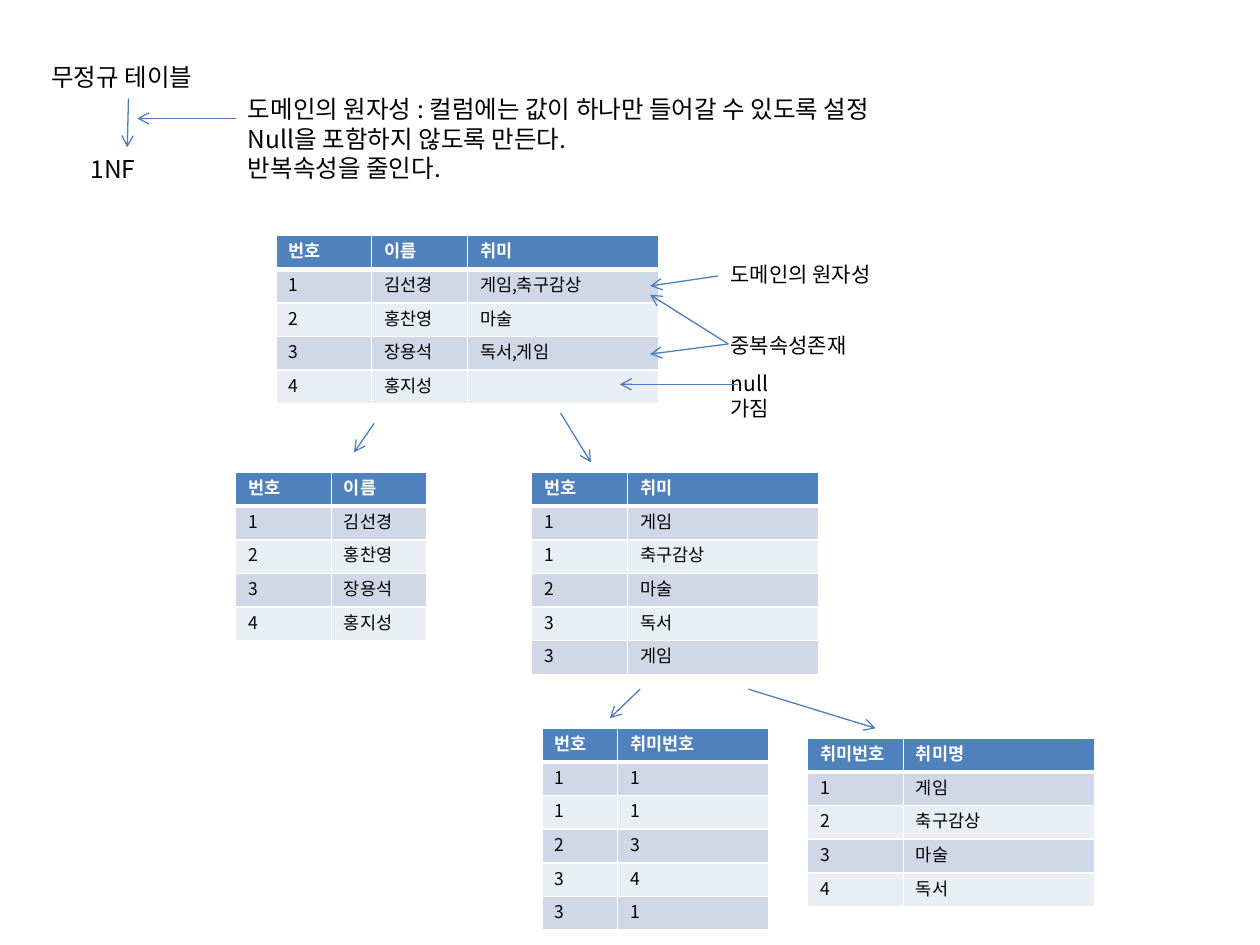
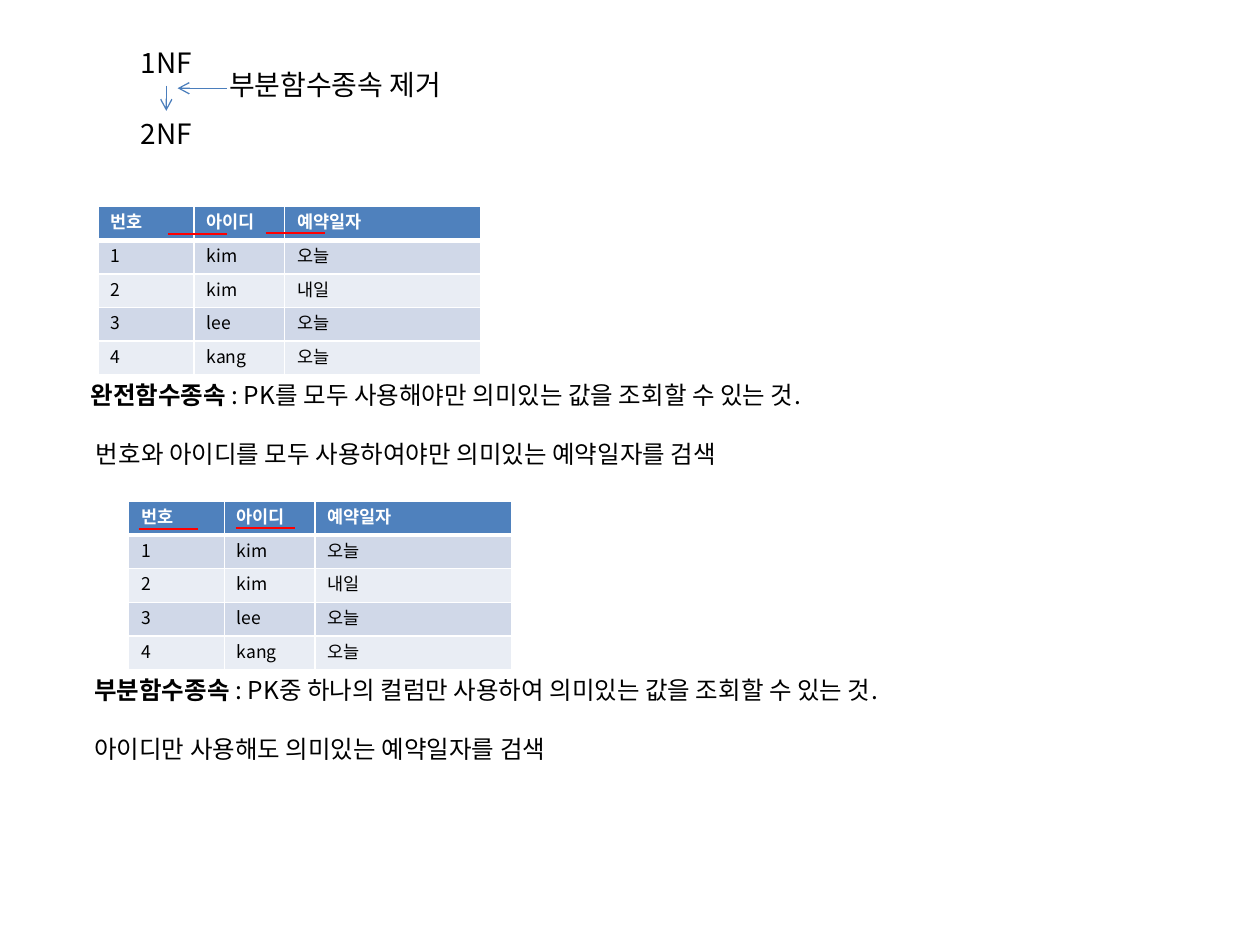
import pptx
import pptx.util
import pptx.dml.color
import pptx.enum.shapes
import pptx.oxml
import pptx.oxml.ns
import lxml.etree

Inches, Pt = pptx.util.Inches, pptx.util.Pt

FONT = "Noto Sans CJK KR"
BLACK, WHITE, HEADER, ARROW, KEY = "000000", "FFFFFF", "4F81BD", "4B7EBC", "FF0000"
BANDS = ("D0D8E8", "E9EDF4")
TABLE_SIZE = 10
ROW_HEIGHT = 4 / 15

BOOKINGS = [("번호", "아이디", "예약일자"), ("1", "kim", "오늘"), ("2", "kim", "내일"),
            ("3", "lee", "오늘"), ("4", "kang", "오늘")]
BOOKING_COLS = (0.76, 0.72, 1.56)

# Tables: (left, top), column widths, rows
# Texts: (left, top, width, height), size, paragraphs; a pair is (bold lead, rest)
# Arrows and key marks: (from x, from y, to x, to y)
FIRST_NF = {
    "tables": [
        ((2.19, 1.87), (0.76, 0.76, 1.52),
         [("번호", "이름", "취미"), ("1", "김선경", "게임,축구감상"), ("2", "홍찬영", "마술"),
          ("3", "장용석", "독서,게임"), ("4", "홍지성", "")]),
        ((1.87, 3.75), (0.76, 0.76),
         [("번호", "이름"), ("1", "김선경"), ("2", "홍찬영"), ("3", "장용석"), ("4", "홍지성")]),
        ((4.22, 3.75), (0.76, 1.52),
         [("번호", "취미"), ("1", "게임"), ("1", "축구감상"), ("2", "마술"), ("3", "독서"),
          ("3", "게임")]),
        ((4.3, 5.78), (0.6, 1.2),
         [("번호", "취미번호"), ("1", "1"), ("1", "1"), ("2", "3"), ("3", "4"), ("3", "1")]),
        ((6.41, 5.86), (0.76, 1.52),
         [("취미번호", "취미명"), ("1", "게임"), ("2", "축구감상"), ("3", "마술"), ("4", "독서")]),
    ],
    "texts": [
        ((0.31, 0.44, 1.45, 0.34), 14, ["무정규 테이블"]),
        ((0.62, 1.17, 0.66, 0.34), 14, ["1NF"]),
        ((1.87, 0.7, 5.77, 0.81), 14,
         ["도메인의 원자성 : 컬럼에는 값이 하나만 들어갈 수 있도록 설정",
          "Null을 포함하지 않도록 만든다.", "반복속성을 줄인다."]),
        ((5.7, 2.03, 1.44, 0.3), 12, ["도메인의 원자성"]),
        ((5.7, 2.59, 1.21, 0.3), 12, ["중복속성존재"]),
        ((5.7, 2.89, 0.75, 0.3), 12, ["null가짐"]),
    ],
    "arrows": [
        (1.02, 0.78, 1.01, 1.17), (1.87, 0.94, 1.09, 0.94),
        (2.97, 3.36, 2.81, 3.59), (4.45, 3.28, 4.69, 3.67),
        (5.86, 3.05, 4.92, 3.05), (5.7, 2.19, 5.16, 2.27),
        (5.78, 2.73, 5.16, 2.34), (5.78, 2.73, 5.16, 2.81),
        (5.08, 5.47, 4.84, 5.7), (5.94, 5.47, 6.95, 5.78),
    ],
    "marks": [],
}
SECOND_NF = {
    "tables": [((0.78, 1.64), BOOKING_COLS, BOOKINGS),
               ((1.02, 3.98), BOOKING_COLS, BOOKINGS)],
    "texts": [
        ((1.02, 0.31, 0.71, 0.37), 16, ["1NF"]),
        ((1.02, 0.88, 0.71, 0.37), 16, ["2NF"]),
        ((1.72, 0.49, 2.15, 0.37), 16, ["부분함수종속 제거"]),
        ((0.62, 2.97, 6.5, 0.81), 14,
         [("완전함수종속 ", ": PK를 모두 사용해야만 의미있는 값을 조회할 수 있는 것."),
          " 번호와 아이디를 모두 사용하여야만 의미있는 예약일자를 검색"]),
        ((0.65, 5.31, 7.16, 0.81), 14,
         [("부분함수종속 ", ": PK중 하나의 컬럼만 사용하여 의미있는 값을 조회할 수 있는 것."),
          "아이디만 사용해도 의미있는 예약일자를 검색"]),
    ],
    "arrows": [(1.32, 0.68, 1.32, 0.88), (1.8, 0.7, 1.41, 0.7)],
    "marks": [(1.33, 1.86, 1.8, 1.86), (2.11, 1.85, 2.58, 1.85),
              (1.1, 4.2, 1.57, 4.2), (1.87, 4.19, 2.34, 4.19)],
}


def rgb(value):
    """Turn a hex string into a colour."""
    return pptx.dml.color.RGBColor.from_string(value)


def sub(parent, tag, **attrs):
    """Append a drawing element to parent."""
    return lxml.etree.SubElement(parent, pptx.oxml.ns.qn(tag), attrs)


def add_run(p, text, size, color=BLACK, bold=False):
    """Add a formatted run and fix the line pitch of its paragraph."""
    r = p.add_run()
    r.text = text
    for name, value in {"size": Pt(size), "bold": bold, "name": FONT}.items():
        setattr(r.font, name, value)
    r.font.color.rgb = rgb(color)
    sub(r.font._element, "a:ea", typeface=FONT)
    p.line_spacing = Pt(1.2 * size)


def add_text(slide, box, size, paragraphs):
    """Add a text box; a line of space follows a paragraph with a bold lead."""
    tf = slide.shapes.add_textbox(*map(Inches, box)).text_frame
    tf.word_wrap = True
    for i, content in enumerate(paragraphs):
        p = tf.add_paragraph() if i else tf.paragraphs[0]
        if isinstance(content, tuple):
            lead, content = content
            add_run(p, lead, size, bold=True)
            p.space_after = Pt(1.2 * size)
        add_run(p, content, size)


def add_borders(cell, row):
    """Draw white cell borders, thick under the header row."""
    tcPr = cell._tc.get_or_add_tcPr()
    thick = {"T": row == 1, "B": row == 0}
    for side in "LRTB":
        width = Pt(3 if thick.get(side) else 1)
        ln = sub(tcPr, "a:ln" + side, w=str(width))
        sub(sub(ln, "a:solidFill"), "a:srgbClr", val=WHITE)


def add_table(slide, corner, widths, rows):
    """Add a banded table with a coloured header."""
    size = (sum(widths), ROW_HEIGHT * len(rows))
    table = slide.shapes.add_table(len(rows), len(widths),
                                   *map(Inches, corner + size)).table
    for column, width in zip(table.columns, widths):
        column.width = Inches(width)
    for i, row in enumerate(rows):
        table.rows[i].height = Inches(ROW_HEIGHT)
        for j, text in enumerate(row):
            cell = table.cell(i, j)
            add_borders(cell, i)
            cell.fill.solid()
            cell.fill.fore_color.rgb = rgb(BANDS[(i - 1) % 2] if i else HEADER)
            p = cell.text_frame.paragraphs[0]
            p.font.size = Pt(TABLE_SIZE)
            if text:
                add_run(p, text, TABLE_SIZE, BLACK if i else WHITE, bold=i == 0)


def add_line(slide, ends, color, width, arrow=False):
    """Add a straight line, with an open arrowhead at its end if asked."""
    sp = slide.shapes.add_connector(pptx.enum.shapes.MSO_CONNECTOR.STRAIGHT,
                                    *map(Inches, ends))
    sp.line.color.rgb = rgb(color)
    sp.line.width = Pt(width)
    if arrow:
        sub(sp.line._get_or_add_ln(), "a:tailEnd", type="arrow")
    sub(sp._element.spPr, "a:effectLst")


def build_slide(prs, content):
    """Add one slide with its tables, texts and lines."""
    slide = prs.slides.add_slide(prs.slide_layouts[6])
    for table in content["tables"]:
        add_table(slide, *table)
    for text in content["texts"]:
        add_text(slide, *text)
    for ends in content["arrows"]:
        add_line(slide, ends, ARROW, 0.75, arrow=True)
    for ends in content["marks"]:
        add_line(slide, ends, KEY, 1.25)


prs = pptx.Presentation()
prs.slide_width, prs.slide_height = Inches(10), Inches(7.5)
for content in (FIRST_NF, SECOND_NF):
    build_slide(prs, content)
prs.save("out.pptx")
